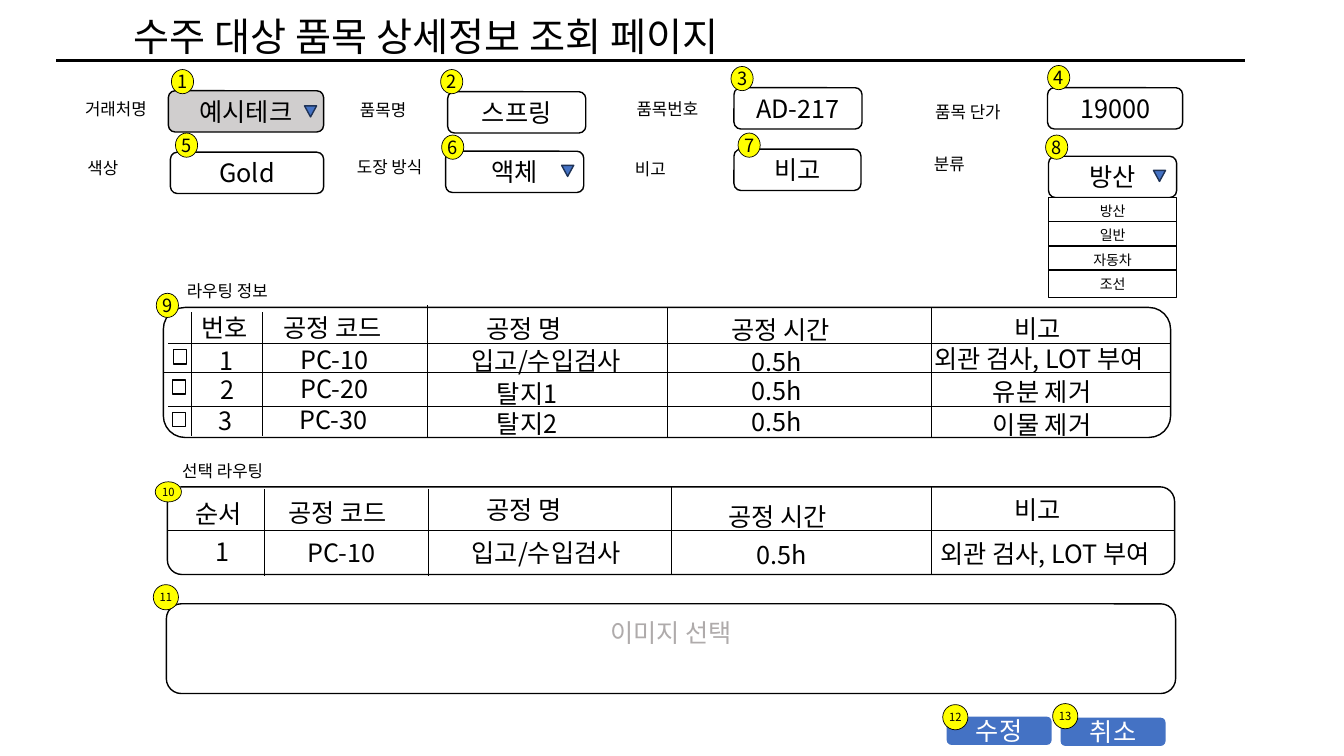
from pptx import Presentation
from pptx.dml.color import RGBColor
from pptx.enum.shapes import MSO_CONNECTOR, MSO_SHAPE
from pptx.enum.text import MSO_ANCHOR, PP_ALIGN
from pptx.oxml.ns import qn
from pptx.util import Inches, Pt

FONT = "Noto Sans CJK KR"
BLACK, WHITE, GRAY, SILVER = "000000", "FFFFFF", "D0CECE", "AFABAB"
BLUE, NAVY, YELLOW = "4472C4", "1E3256", "FFFF00"

TITLE = "수주 대상 품목 상세정보 조회 페이지"
LABELS = [
    ("거래처명", 0.59, 0.87, 1.12), ("품목명", 3.24, 0.88, 1.12),
    ("품목번호", 6.06, 0.87, 1.12), ("품목 단가", 9.04, 0.9, 1.12),
    ("색상", 0.64, 1.46, 0.76), ("도장 방식", 3.33, 1.45, 1.07),
    ("비고", 6.02, 1.47, 0.86), ("분류", 8.99, 1.42, 0.85),
    ("라우팅 정보", 1.62, 2.68, 1.27), ("선택 라우팅", 1.48, 4.47, 1.46),
]
FIELDS = [
    ("예시테크", 1.67, 0.9, 1.54, GRAY), ("스프링", 4.44, 0.91, 1.37, WHITE),
    ("AD-217", 7.28, 0.87, 1.27, WHITE), ("19000", 10.39, 0.87, 1.34, WHITE),
    ("Gold", 1.69, 1.51, 1.52, WHITE), ("액체", 4.42, 1.5, 1.37, WHITE),
    ("비고", 7.28, 1.48, 1.26, WHITE), ("방산", 10.4, 1.55, 1.27, WHITE),
]
ARROWS = [(3.02, 1.05), (5.57, 1.64), (11.44, 1.69)]
OPTIONS = ["방산", "일반", "자동차", "조선"]
CHECKS = [(1.72, 3.47), (1.71, 3.77), (1.71, 4.09)]
TABLES = [
    {
        "box": (1.62, 3.05, 9.99, 1.29),
        "lines": [
            (1.67, 3.41, 11.61, 3.41), (1.62, 3.7, 11.61, 3.7), (1.67, 4.03, 11.61, 4.03),
            (1.9, 3.1, 1.9, 4.33), (2.6, 3.1, 2.6, 4.33), (4.24, 3.03, 4.24, 4.34),
            (6.62, 3.05, 6.62, 4.34), (9.24, 3.06, 9.24, 4.34),
        ],
        "columns": [
            (0.71, [("번호", 1.9, 3.05), ("1", 2.08, 3.38), ("2", 2.09, 3.66), ("3", 2.07, 3.97)]),
            (1.57, [("공정 코드", 2.71, 3.05), ("PC-10", 2.88, 3.37),
                    ("PC-20", 2.88, 3.65), ("PC-30", 2.87, 3.96)]),
            (1.86, [("공정 명", 4.73, 3.06), ("입고/수입검사", 4.58, 3.38),
                    ("탈지1", 4.83, 3.7), ("탈지2", 4.83, 4)]),
            (1.57, [("공정 시간", 7.16, 3.07), ("0.5h", 7.36, 3.39),
                    ("0.5h", 7.36, 3.67), ("0.5h", 7.36, 3.98)]),
            (2.5, [("비고", 9.96, 3.06), ("외관 검사, LOT 부여", 9.17, 3.36),
                   ("유분 제거", 9.75, 3.68), ("이물 제거", 9.75, 4.01)]),
        ],
    },
    {
        "box": (1.66, 4.83, 9.99, 0.87),
        "lines": [
            (1.66, 5.26, 11.65, 5.26), (2.62, 4.85, 2.62, 5.71), (4.25, 4.85, 4.25, 5.71),
            (6.66, 4.83, 6.66, 5.7), (9.24, 4.83, 9.24, 5.7),
        ],
        "columns": [
            (0.71, [("순서", 1.84, 4.89), ("1", 2.04, 5.27)]),
            (1.57, [("공정 코드", 2.76, 4.88), ("PC-10", 2.95, 5.28)]),
            (1.86, [("공정 명", 4.73, 4.85), ("입고/수입검사", 4.58, 5.28)]),
            (1.57, [("공정 시간", 7.13, 4.92), ("0.5h", 7.41, 5.3)]),
            (2.5, [("비고", 9.96, 4.86), ("외관 검사, LOT 부여", 9.23, 5.29)]),
        ],
    },
]
BUTTONS = [("수정", 9.39, 7.11), ("취소", 10.52, 7.12)]
BADGES = [
    (1.7, 0.69, 0.22, 0.24), (4.37, 0.69, 0.22, 0.24), (7.25, 0.66, 0.22, 0.24),
    (10.39, 0.65, 0.22, 0.24), (1.74, 1.32, 0.22, 0.24), (4.38, 1.34, 0.22, 0.24),
    (7.32, 1.32, 0.22, 0.24), (10.37, 1.34, 0.22, 0.24), (1.55, 2.91, 0.22, 0.24),
    (1.54, 4.78, 0.26, 0.2), (1.52, 5.8, 0.25, 0.25), (9.35, 6.99, 0.25, 0.25),
    (10.44, 6.98, 0.25, 0.25),
]

prs = Presentation()
prs.slide_width, prs.slide_height = Inches(13.33), Inches(7.5)
s = prs.slides.add_slide(prs.slide_layouts[6])


def rgb(value):
    return RGBColor.from_string(value)


def write(sp, text, size, color=BLACK, align=PP_ALIGN.CENTER, **frame):
    tf = sp.text_frame
    for name, value in {"word_wrap": True, "vertical_anchor": MSO_ANCHOR.MIDDLE, **frame}.items():
        setattr(tf, name, value)
    p = tf.paragraphs[0]
    p.alignment = align
    r = p.add_run()
    r.text = text
    for name, value in {"size": Pt(size), "name": FONT}.items():
        setattr(r.font, name, value)
    r.font.color.rgb = rgb(color)
    ea = r.font._element.makeelement(qn("a:ea"), {"typeface": FONT})
    r.font._element.find(qn("a:latin")).addnext(ea)


def shape(kind, box, fill=WHITE, line=BLACK, width=1):
    sp = s.shapes.add_shape(kind, *map(Inches, box))
    sp.shadow.inherit = False
    sp.fill.solid()
    sp.fill.fore_color.rgb = rgb(fill)
    if line:
        sp.line.color.rgb = rgb(line)
        sp.line.width = Pt(width)
    else:
        sp.line.fill.background()
    return sp


def label(box, text, size, **style):
    write(s.shapes.add_textbox(*map(Inches, box)), text, size, **style)


def rule(x1, y1, x2, y2, width=0.5):
    c = s.shapes.add_connector(MSO_CONNECTOR.STRAIGHT, *map(Inches, (x1, y1, x2, y2)))
    c.line.color.rgb = rgb(BLACK)
    c.line.width = Pt(width)
    sppr = c._element.spPr
    sppr.append(sppr.makeelement(qn("a:effectLst"), {}))
    return c


def join(c, sp, ends, box):
    x, y, w, h = box
    sites = [(x + w / 2, y), (x, y + h / 2), (x + w / 2, y + h), (x + w, y + h / 2)]
    for connect, (ex, ey) in ((c.begin_connect, ends[:2]), (c.end_connect, ends[2:])):
        for i, (sx, sy) in enumerate(sites):
            if abs(ex - sx) < 0.01 and abs(ey - sy) < 0.01:
                connect(sp, i)


LEFT_TOP = {"align": PP_ALIGN.LEFT, "vertical_anchor": MSO_ANCHOR.TOP}
label((1.23, 0.07, 7.6, 0.57), TITLE, 28, **LEFT_TOP)
rule(0.56, 0.6, 12.35, 0.6, 1.5)

for text, x, y, w in LABELS:
    label((x, y, w, 0.41), text, 12)
for text, x, y, w, fill in FIELDS:
    write(shape(MSO_SHAPE.ROUNDED_RECTANGLE, (x, y, w, 0.41), fill), text, 18)
for x, y in ARROWS:
    shape(MSO_SHAPE.FLOWCHART_MERGE, (x, y, 0.12, 0.11), BLUE, NAVY)
for i, text in enumerate(OPTIONS):
    write(shape(MSO_SHAPE.RECTANGLE, (10.4, 1.96 + 0.24 * i, 1.27, 0.27)), text, 10)

for table in TABLES:
    sp = shape(MSO_SHAPE.ROUNDED_RECTANGLE, table["box"])
    for ends in table["lines"]:
        join(rule(*ends), sp, ends, table["box"])
    for w, cells in table["columns"]:
        for text, x, y in cells:
            label((x, y, w, 0.4), text, 18, **LEFT_TOP)
for x, y in CHECKS:
    shape(MSO_SHAPE.RECTANGLE, (x, y, 0.13, 0.14))

write(shape(MSO_SHAPE.ROUNDED_RECTANGLE, (1.65, 5.99, 10.01, 0.89)), "이미지 선택", 18, SILVER,
      vertical_anchor=MSO_ANCHOR.TOP, margin_top=Inches(0.09))
for text, x, y in BUTTONS:
    write(shape(MSO_SHAPE.ROUNDED_RECTANGLE, (x, y, 1.04, 0.28), BLUE, None), text, 18, WHITE)

TIGHT = dict.fromkeys(("margin_left", "margin_right", "margin_top", "margin_bottom"), 0)
for number, box in enumerate(BADGES, 1):
    sp = shape(MSO_SHAPE.FLOWCHART_CONNECTOR, box, YELLOW, BLACK, 0.5)
    write(sp, str(number), 13 if number < 10 else 8, **{**TIGHT, "word_wrap": False})

prs.save("out.pptx")
